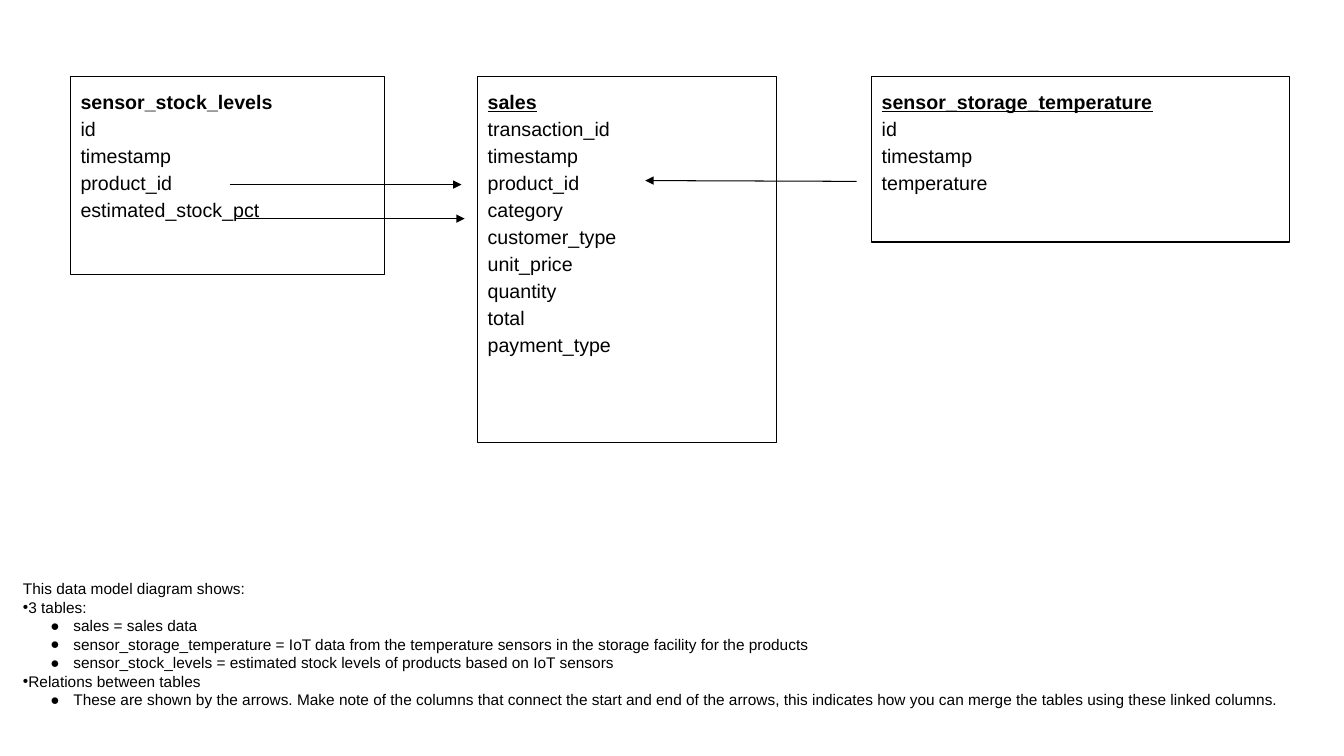
from lxml import etree
from pptx import Presentation, util as u
from pptx.dml.color import RGBColor
from pptx.enum import shapes, text
from pptx.oxml.ns import qn

HEX = {"ink": "000000"}
FONT = "Arial"
TOP = 1.93  # shared top edge of the tables, cm

# name, columns, left, width, height, underlined heading
TABLES = [
    ("sales", ["transaction_id", "timestamp", "product_id", "category",
               "customer_type", "unit_price", "quantity", "total",
               "payment_type"], 12.04, 7.54, 9.22, True),
    ("sensor_storage_temperature", ["id", "timestamp", "temperature"],
     21.97, 10.52, 4.17, True),
    ("sensor_stock_levels", ["id", "timestamp", "product_id",
                             "estimated_stock_pct"], 1.78, 7.9, 5, False),
]

# start x, start y, end x, end y
LINKS = [
    (5.92, 5.51, 11.71, 5.51),
    (5.79, 4.65, 11.63, 4.65),
    (21.59, 4.57, 16.26, 4.55),
]

# kind, wording
NOTES = [
    ("plain", "This data model diagram shows:"),
    ("head", "3 tables:"),
    ("item", "sales = sales data"),
    ("item", "sensor_storage_temperature = IoT data from the temperature "
             "sensors in the storage facility for the products"),
    ("item", "sensor_stock_levels = estimated stock levels of products "
             "based on IoT sensors"),
    ("head", "Relations between tables"),
    ("item", "These are shown by the arrows. Make note of the columns that "
             "connect the start and end of the arrows, this indicates how "
             "you can merge the tables using these linked columns. "),
]
# bullet, level, left margin, first-line indent
BULLETS = {"head": ("•", 0, 0, 0), "item": ("●", 1, 1.27, -0.58)}


def ink():
    """Return the drawing colour."""
    return RGBColor.from_string(HEX["ink"])


def stroke(line):
    """Give an outline the thin dark look."""
    line.color.rgb = ink()
    line.width = u.Pt(0.75)


def style(para, size, bold=False, under=False):
    """Format the runs of a paragraph."""
    para.alignment = text.PP_ALIGN.LEFT
    for run in para.runs:
        font = run.font
        font.name, font.size = FONT, u.Pt(size)
        font.bold, font.underline = bold, under
        font.color.rgb = ink()


def add_box(slide, name, cols, left, wide, high, under):
    """Draw one table of the data model."""
    box = slide.shapes.add_shape(shapes.MSO_SHAPE.RECTANGLE, u.Cm(left),
                                 u.Cm(TOP), u.Cm(wide), u.Cm(high))
    box.shadow.inherit = False
    box.fill.background()
    stroke(box.line)
    frame = box.text_frame
    frame.word_wrap = True
    frame.vertical_anchor = text.MSO_ANCHOR.TOP
    frame.margin_left = frame.margin_right = u.Cm(0.25)
    frame.margin_top = frame.margin_bottom = u.Cm(0.25)
    frame.text = "\n".join([name] + cols)
    for row, para in enumerate(frame.paragraphs):
        para.line_spacing = 1.15
        style(para, 14, row == 0, row == 0 and under)


def add_link(slide, *ends):
    """Draw an arrow between linked columns."""
    link = slide.shapes.add_connector(shapes.MSO_CONNECTOR.STRAIGHT,
                                      *[u.Cm(end) for end in ends])
    stroke(link.line)
    tip = etree.SubElement(link.line._get_or_add_ln(), qn("a:tailEnd"))
    tip.set("type", "triangle")
    etree.SubElement(link._element.spPr, qn("a:effectLst"))


def add_notes(slide):
    """Write the explanation below the diagram."""
    box = slide.shapes.add_textbox(u.Cm(0.33), u.Cm(14.48),
                                   u.Cm(33.1), u.Cm(3.56))
    frame = box.text_frame
    frame.word_wrap = True
    frame.text = "\n".join(words for _, words in NOTES)
    for para, (kind, _) in zip(frame.paragraphs, NOTES):
        style(para, 11)
        if kind in BULLETS:
            mark, level, left, first = BULLETS[kind]
            para.level = level
            props = para._p.get_or_add_pPr()
            props.set("marL", str(u.Cm(left)))
            props.set("indent", str(u.Cm(first)))
            face = etree.SubElement(props, qn("a:buFont"))
            face.set("typeface", FONT)
            etree.SubElement(props, qn("a:buChar")).set("char", mark)


deck = Presentation()
deck.slide_width, deck.slide_height = u.Cm(33.87), u.Cm(19.05)
slide = deck.slides.add_slide(deck.slide_layouts[6])
for table in TABLES:
    add_box(slide, *table)
for link in LINKS:
    add_link(slide, *link)
add_notes(slide)
deck.save("out.pptx")
